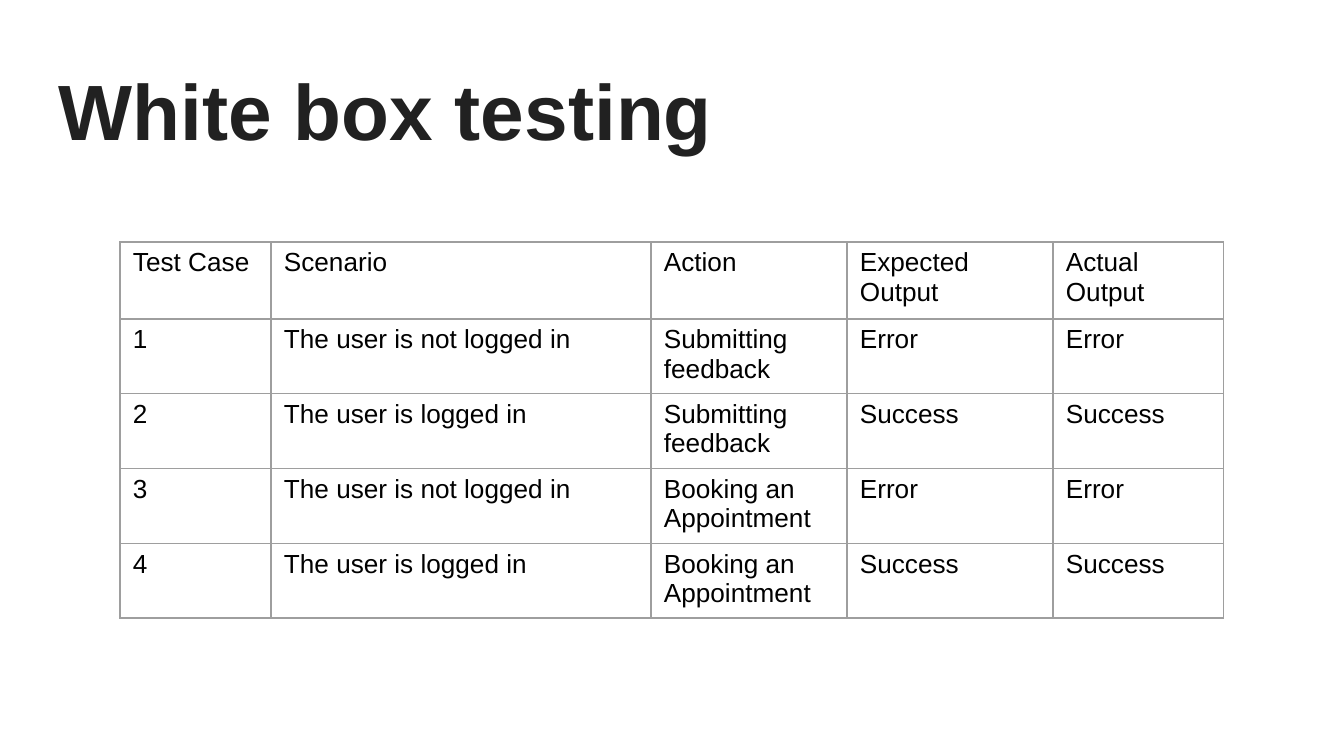
import pptx
import pptx.dml.color
import pptx.enum.text
import pptx.oxml
import pptx.oxml.ns
import pptx.util

PX = 914400 / 134.4  # EMU per px

THEME = {
    "font": "Arial",
    "title": {"size": 42, "color": "212121", "bold": True},
    "cell": {"size": 14, "color": "000000", "bold": False},
    "border": {"color": "9E9E9E", "width": 0.75},
}


def px(length):
    return pptx.util.Emu(round(length * PX))


def style_text(frame, style):
    font = frame.paragraphs[0].runs[0].font
    values = {"name": THEME["font"], "size": pptx.util.Pt(style["size"]), "bold": style["bold"]}
    for attribute, value in values.items():
        setattr(font, attribute, value)
    font.color.rgb = pptx.dml.color.RGBColor.from_string(style["color"])


deck = pptx.Presentation()
deck.slide_width, deck.slide_height = px(1344), px(756)
slide = deck.slides.add_slide(deck.slide_layouts[6])

# Title
title = slide.shapes.add_textbox(px(46), px(43), px(1253), px(118)).text_frame
title_format = {
    "word_wrap": True,
    "vertical_anchor": pptx.enum.text.MSO_ANCHOR.MIDDLE,
    "margin_left": px(13),
    "margin_right": px(13),
    "margin_top": px(20),
    "margin_bottom": px(6),
    "text": "White box testing",
}
for attribute, value in title_format.items():
    setattr(title, attribute, value)
style_text(title, THEME["title"])

# Test cases
test_cases = [
    ("Test Case", "Scenario", "Action", "Expected Output", "Actual Output"),
    ("1", "The user is not logged in", "Submitting feedback", "Error", "Error"),
    ("2", "The user is logged in", "Submitting feedback", "Success", "Success"),
    ("3", "The user is not logged in", "Booking an Appointment", "Error", "Error"),
    ("4", "The user is logged in", "Booking an Appointment", "Success", "Success"),
]
column_widths = [151, 380, 196, 206, 171]
row_heights = [77] + [72] * 4
results = slide.shapes.add_table(
    len(row_heights), len(column_widths),
    px(120), px(242), px(sum(column_widths)), px(sum(row_heights)),
).table
results.first_row = results.horz_banding = False
for column, width in zip(results.columns, column_widths):
    column.width = px(width)
for row, height in zip(results.rows, row_heights):
    row.height = px(height)

# Cell text, insets and borders
cell_format = {
    "margin_left": px(13),
    "margin_right": px(13),
    "margin_top": px(6),
    "margin_bottom": px(6),
    "vertical_anchor": pptx.enum.text.MSO_ANCHOR.TOP,
}
border = THEME["border"]
for row, test_case in zip(results.rows, test_cases):
    for cell, text in zip(row.cells, test_case):
        cell.text = text
        style_text(cell.text_frame, THEME["cell"])
        for attribute, value in cell_format.items():
            setattr(cell, attribute, value)
        properties = cell._tc.get_or_add_tcPr()
        for side in ("lnL", "lnR", "lnT", "lnB"):
            properties.append(pptx.oxml.parse_xml(
                f'<a:{side} {pptx.oxml.ns.nsdecls("a")} w="{pptx.util.Pt(border["width"])}">'
                f'<a:solidFill><a:srgbClr val="{border["color"]}"/></a:solidFill></a:{side}>'
            ))
        cell.fill.background()

deck.save("out.pptx")
